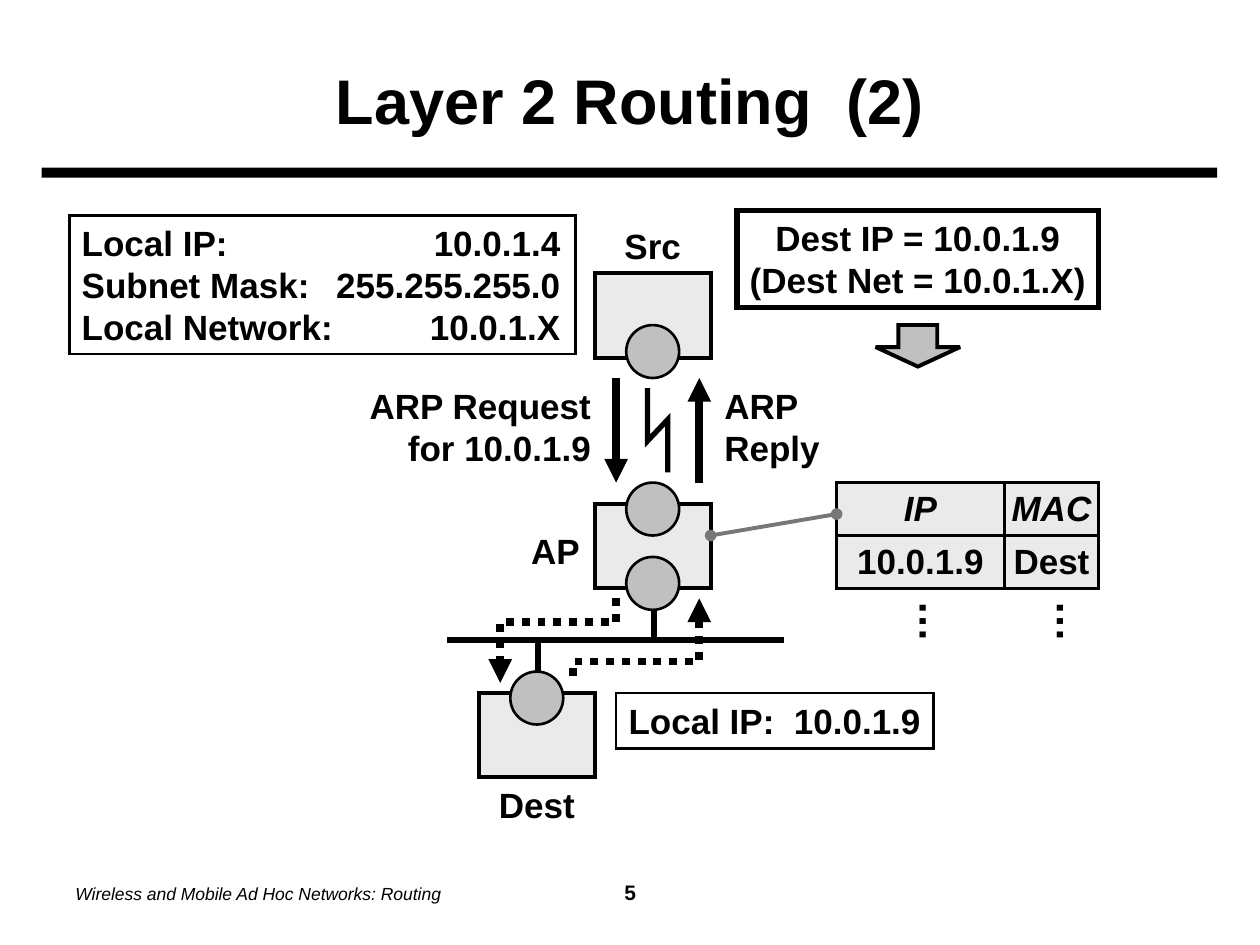
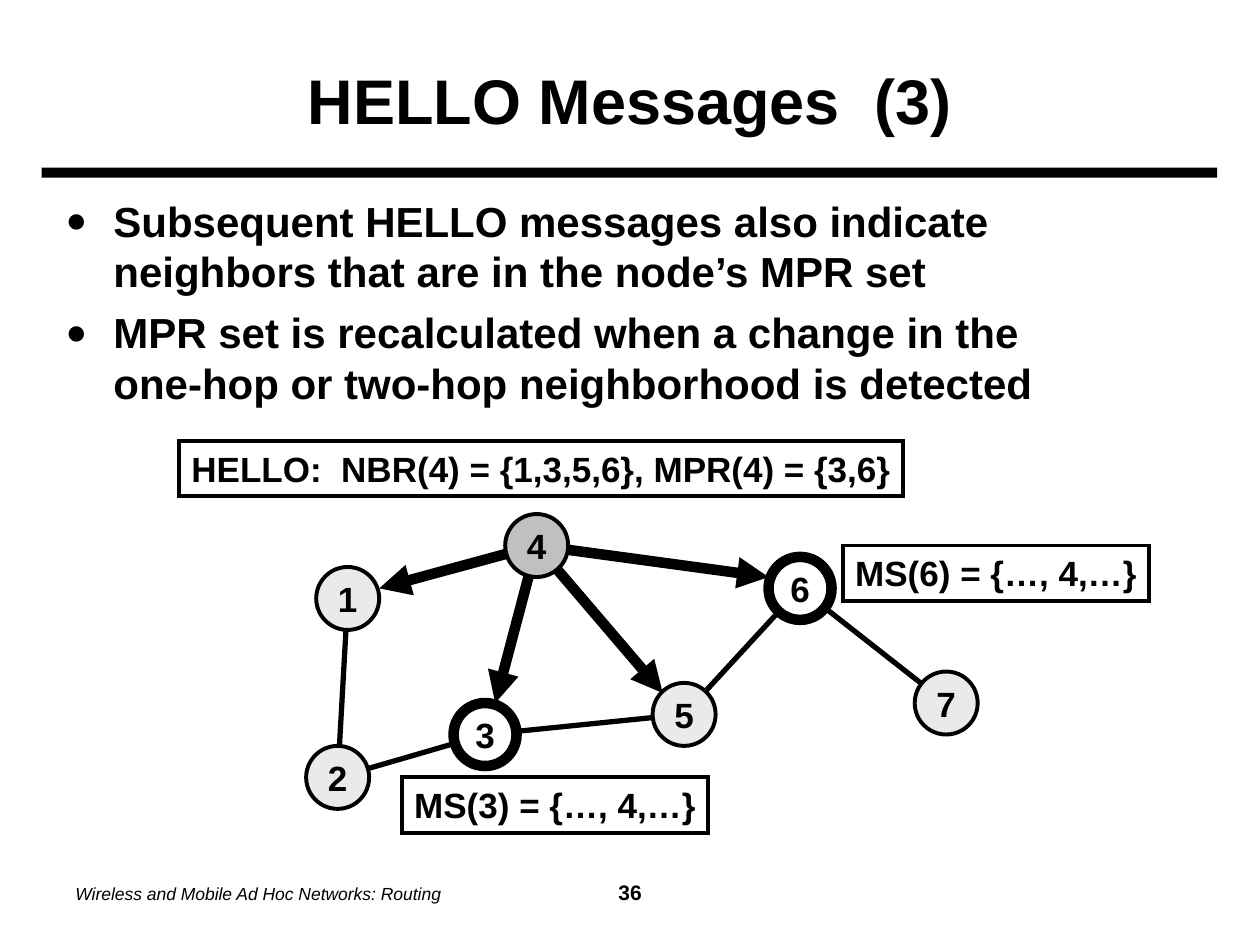
from lxml import etree
from pptx import Presentation
from pptx import util as u
from pptx.dml.color import RGBColor
from pptx.enum import dml, shapes, text
from pptx.oxml import ns

BLACK, WHITE, PALE, SILVER, GRAY = "000000", "FFFFFF", "EAEAEA", "C0C0C0", "777777"
LEFT, CENTER, RIGHT = text.PP_ALIGN.LEFT, text.PP_ALIGN.CENTER, text.PP_ALIGN.RIGHT
TOP, MIDDLE = text.MSO_ANCHOR.TOP, text.MSO_ANCHOR.MIDDLE
RECT, OVAL = shapes.MSO_SHAPE.RECTANGLE, shapes.MSO_SHAPE.OVAL
TITLE_AND_BODY, TITLE_ONLY = 1, 5


def color(value):
    return RGBColor.from_string(value)


def inches(*values):
    return [u.Inches(value) for value in values]


def add_xml(parent, tag, **attributes):
    return etree.SubElement(parent, ns.qn(tag), attributes)


def add_span(para, words, size=20, bold=True, italic=False):
    """Add formatted text to a paragraph; a vertical tab breaks the line."""
    for index, part in enumerate(words.split("\v")):
        if index:
            para.add_line_break()
        span = para.add_run()
        span.text = part
        span.font.name, span.font.size = "Arial", u.Pt(size)
        span.font.bold, span.font.italic = bold, italic
        span.font.color.rgb = color(BLACK)


def write(frame, words, align=LEFT, anchor=TOP, wrap=False, tabs=(), **font):
    """Fill a text frame, one paragraph per line; tabs are (inches, alignment)."""
    frame.word_wrap, frame.vertical_anchor = wrap, anchor
    frame.auto_size = text.MSO_AUTO_SIZE.NONE
    for index, line in enumerate(words.split("\n")):
        para = frame.add_paragraph() if index else frame.paragraphs[0]
        para.alignment = align
        if tabs:
            stops = add_xml(para._p.get_or_add_pPr(), "a:tabLst")
            for position, kind in tabs:
                add_xml(stops, "a:tab", pos=str(u.Inches(position)), algn=kind)
        add_span(para, line, **font)


class Deck:
    def __init__(self):
        self.file = Presentation()
        self.file.slide_width, self.file.slide_height = inches(10, 7.5)
        self.page = None

    def add_page(self, layout, title, number):
        self.page = self.file.slides.add_slide(self.file.slide_layouts[layout])
        self.shape(RECT, 0.33, 1.33, 9.33, 0.08, fill=BLACK, width=0)
        footer = self.label("Wireless and Mobile Ad Hoc Networks: Routing", 0.5, 6.83, 9, 0.5,
                            anchor=MIDDLE, wrap=True, tabs=[(4.38, "ctr")],
                            size=10, bold=False, italic=True)
        add_span(footer.text_frame.paragraphs[0], f"\t {number}", size=12)
        heading = self.page.shapes.title
        self.place(heading, 0.5, 0.25, 9, 1.08)
        write(heading.text_frame, title, CENTER, MIDDLE, wrap=True, size=36)

    def place(self, box, *frame):
        box.left, box.top, box.width, box.height = inches(*frame)

    def bullets(self, items, *frame):
        body = self.page.placeholders[1]
        self.place(body, *frame)
        write(body.text_frame, "\n".join(items), wrap=True, size=24)
        for index, para in enumerate(body.text_frame.paragraphs):
            para.space_before = u.Pt(6 if index else 0)
            props = para._p.get_or_add_pPr()
            props.set("marL", str(u.Inches(0.38)))
            props.set("indent", str(-u.Inches(0.38)))
            add_xml(props, "a:buSzPct", val="85000")
            add_xml(props, "a:buFont", typeface="Arial")
            add_xml(props, "a:buChar", char="●")

    def stroke(self, item, width, ink=BLACK, dash=None, head=None, tail=None):
        line = item.line
        line.color.rgb, line.width = color(ink), u.Pt(width)
        if dash:
            line.dash_style = dash
        props = line._get_or_add_ln()
        add_xml(props, "a:miter", lim="800000")
        for tag, kind in (("a:headEnd", head), ("a:tailEnd", tail)):
            if kind:
                add_xml(props, tag, type=kind)

    def shape(self, kind, *frame, fill=None, width=2.25, words="", **style):
        box = self.page.shapes.add_shape(kind, *inches(*frame))
        box.shadow.inherit = False
        if fill:
            box.fill.solid()
            box.fill.fore_color.rgb = color(fill)
        else:
            box.fill.background()
        if width:
            self.stroke(box, width)
        else:
            box.line.fill.background()
        if words:
            write(box.text_frame, words, **style)
        return box

    def label(self, words, *frame, **style):
        box = self.page.shapes.add_textbox(*inches(*frame))
        write(box.text_frame, words, **style)
        return box

    def line(self, start, end, width=3, **style):
        link = self.page.shapes.add_connector(shapes.MSO_CONNECTOR.STRAIGHT,
                                              *inches(*start, *end))
        self.stroke(link, width, **style)
        add_xml(link._element.spPr, "a:effectLst")

    def polyline(self, points, width=3, **style):
        first, *rest = [inches(*point) for point in points]
        builder = self.page.shapes.build_freeform(*first)
        builder.add_line_segments(rest, close=False)
        outline = builder.convert_to_shape()
        outline.shadow.inherit = False
        outline.fill.background()
        self.stroke(outline, width, **style)

    def table(self, rows, left, top, widths, row_height):
        frame = self.page.shapes.add_table(len(rows), len(widths), *inches(
            left, top, sum(widths), row_height * len(rows)))
        grid = frame.table
        grid.first_row = grid.horz_banding = False
        for column, width in zip(grid.columns, widths):
            column.width = u.Inches(width)
        for index, row in enumerate(rows):
            grid.rows[index].height = u.Inches(row_height)
            for cell, words in zip(grid.rows[index].cells, row):
                self.cell(cell, words, italic=index == 0)

    def cell(self, cell, words, italic):
        cell.margin_left = cell.margin_right = cell.margin_top = cell.margin_bottom = 0
        cell.vertical_anchor = MIDDLE
        para = cell.text_frame.paragraphs[0]
        para.alignment = CENTER
        add_span(para, words, italic=italic)
        for side in "LRTB":
            edge = add_xml(cell._tc.get_or_add_tcPr(), f"a:ln{side}", w=str(u.Pt(2.25)))
            add_xml(add_xml(edge, "a:solidFill"), "a:srgbClr", val=BLACK)
        cell.fill.solid()
        cell.fill.fore_color.rgb = color(PALE)


def routing_page(deck):
    deck.add_page(TITLE_ONLY, "Layer 2 Routing  (2)", 5)
    deck.shape(RECT, 0.55, 1.71, 4.02, 1.1, fill=WHITE, width=1.5, wrap=True,
               tabs=[(3.8, "r")],
               words="Local IP:\t10.0.1.4\nSubnet Mask:\t255.255.255.0\nLocal Network:\t10.0.1.X")
    deck.shape(RECT, 5.85, 1.67, 2.87, 0.77, width=3, align=CENTER,
               words="Dest IP = 10.0.1.9\n(Dest Net = 10.0.1.X)")
    arrow = deck.shape(shapes.MSO_SHAPE.DOWN_ARROW, 6.95, 2.58, 0.67, 0.33, fill=SILVER)
    arrow.adjustments[0], arrow.adjustments[1] = 0.46, 0.47

    # Wired network and radio link
    bus = 5.08
    deck.line((3.55, bus), (6.22, bus))
    deck.line((4.27, bus), (4.27, 5.33))
    deck.line((5.19, 4.83), (5.19, bus))
    deck.polyline([(5.14, 3.08), (5.14, 3.5), (5.3, 3.33), (5.3, 3.75)])

    # Stations, each with the tops of its network interfaces
    for left, top, ports in ((4.72, 2.17, [2.58]), (4.72, 4, [4.42, 3.83]), (3.8, 5.5, [5.33])):
        deck.shape(RECT, left, top, 0.92, 0.67, fill=PALE)
        for port in ports:
            deck.shape(OVAL, left + 0.25, port, 0.42, 0.42, fill=SILVER, width=1.5)
    deck.shape(RECT, 4.89, 5.5, 2.52, 0.44, fill=WHITE, width=1.5, words="Local IP:  10.0.1.9")
    deck.label("Src", 4.72, 1.73, 0.92, 0.44, align=CENTER, wrap=True)
    deck.label("AP", 4.12, 4.15, 0.58, 0.44, align=RIGHT)
    deck.label("Dest", 3.8, 6.17, 0.92, 0.44, align=CENTER, wrap=True)

    # Request travels down, reply travels up
    request, reply = 4.89, 5.55
    solid = dict(width=4.5, tail="triangle")
    dotted = dict(width=4.5, dash=dml.MSO_LINE.ROUND_DOT)
    deck.line((request, 3), (request, 3.83), **solid)
    deck.polyline([(request, 4.75), (request, 4.94), (3.97, 4.94), (3.97, 5.42)],
                  tail="triangle", **dotted)
    deck.line((reply, 3.83), (reply, 3), **solid)
    deck.polyline([(reply, 4.75), (reply, 5.25), (4.55, 5.25), (4.55, 5.42)],
                  head="triangle", **dotted)
    deck.label("ARP Request\nfor 10.0.1.9", 2.72, 3, 2.07, 0.77, align=RIGHT, wrap=True)
    deck.label("ARP\nReply", 5.65, 3, 0.96, 0.77)

    deck.table([("IP", "MAC"), ("10.0.1.9", "Dest")], 6.64, 3.83, (1.33, 0.75), 0.42)
    for left in (6.95, 8.04):
        deck.label("…", left, 4.68, 0.53, 0.5, size=24).rotation = 270
    deck.line((6.64, 4.08), (5.64, 4.25), 2.25, ink=GRAY, head="oval", tail="oval")


def hello_page(deck):
    deck.add_page(TITLE_AND_BODY, "HELLO Messages  (3)", 36)
    deck.bullets([
        "Subsequent HELLO messages also indicate neighbors that are in the node’s MPR set",
        "MPR set is recalculated when a change in the\vone-hop or two-hop neighborhood is detected",
    ], 0.42, 1.5, 9.08, 5.25)

    centers = {1: (2.76, 4.75), 2: (2.68, 6.17), 3: (3.85, 5.83), 4: (4.26, 4.33),
               5: (5.43, 5.67), 6: (6.35, 4.67), 7: (7.51, 5.58)}
    sender, relays, size = 4, (3, 6), 0.5
    for one, other in ((6, 7), (1, 2), (2, 3), (3, 5), (6, 5)):
        deck.line(centers[one], centers[other])
    for tip in ((3.01, 4.67), (3.93, 5.58), (5.26, 5.5), (6.1, 4.58)):
        deck.line(centers[sender], tip, 6, tail="triangle")
    for node, (x, y) in centers.items():
        fill = SILVER if node == sender else WHITE if node in relays else PALE
        deck.shape(OVAL, x - size / 2, y - size / 2, size, size, fill=fill,
                   width=6 if node in relays else 2.25,
                   words=str(node), align=CENTER, anchor=MIDDLE)

    for words, left, top, width in (
            ("HELLO:  NBR(4) = {1,3,5,6}, MPR(4) = {3,6}", 1.42, 3.5, 5.75),
            ("MS(6) = {…, 4,…}", 6.69, 4.33, 2.43),
            ("MS(3) = {…, 4,…}", 3.19, 6.17, 2.43)):
        deck.shape(RECT, left, top, width, 0.44, words=words, align=CENTER)


def main():
    deck = Deck()
    routing_page(deck)
    hello_page(deck)
    deck.file.save("out.pptx")


if __name__ == "__main__":
    main()
